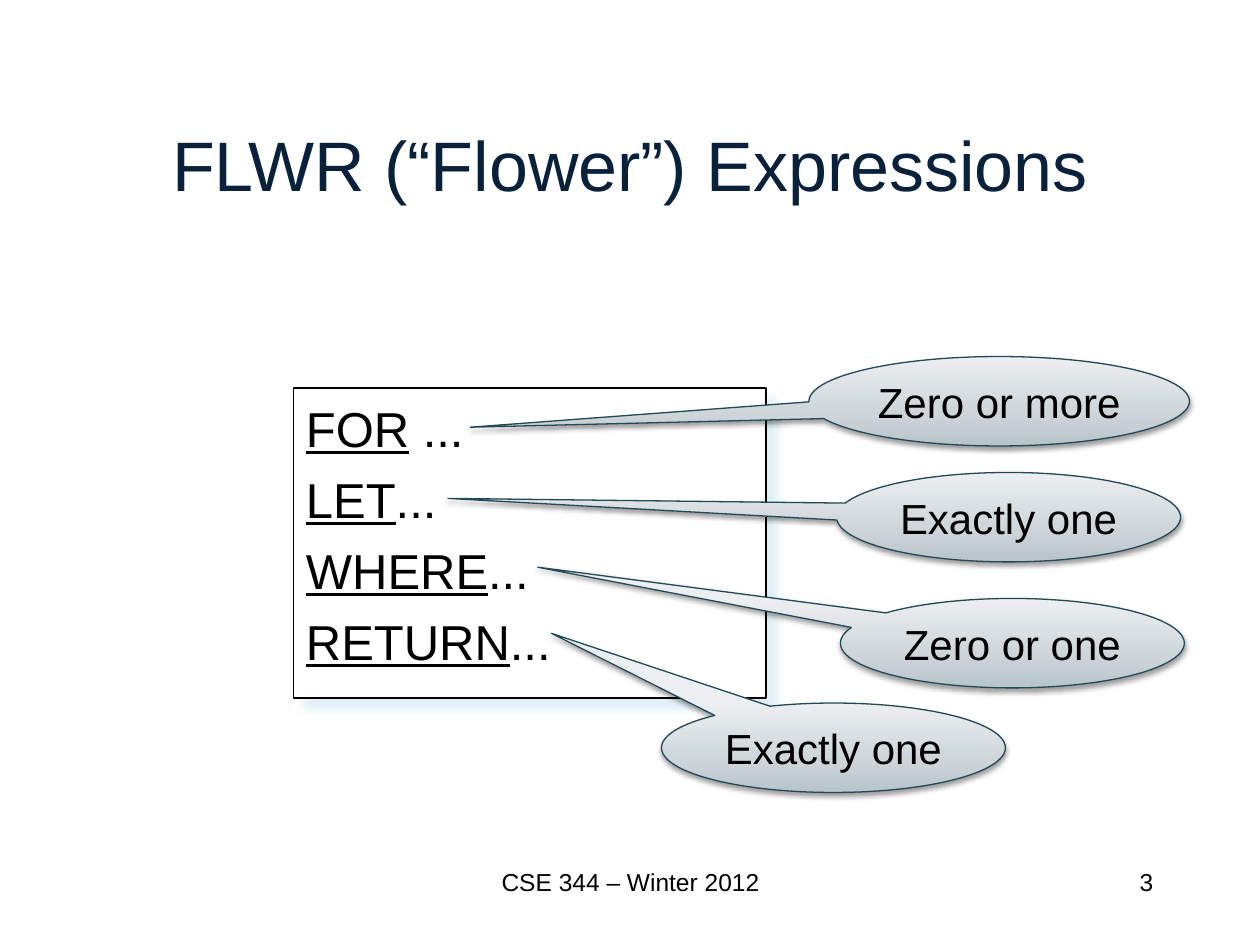
from copy import deepcopy

from lxml.etree import SubElement
from pptx import Presentation
from pptx.dml.color import RGBColor
from pptx.enum.shapes import MSO_SHAPE as SHAPE
from pptx.enum.text import MSO_ANCHOR as ANCHOR, PP_ALIGN as ALIGN
from pptx.oxml.ns import qn
from pptx.util import Inches, Pt

TITLE = "FLWR (“Flower”) Expressions"
FOOTER = "CSE 344 – Winter 2012"
PAGE_NUMBER = "3"
CLAUSES = [("FOR", " ..."), ("LET", "..."), ("WHERE", "..."), ("RETURN", "...")]
# text, left, top, width, pointer tip relative to the centre
CALLOUTS = [
    ("Zero or more", 6.42, 2.83, 3.02, (-1.39, 0.29)),
    ("Exactly one", 6.64, 3.75, 2.73, (-1.63, -0.21)),
    ("Zero or one", 6.67, 4.75, 2.73, (-1.38, -0.85)),
    ("Exactly one", 5.25, 5.58, 2.73, (-0.82, -1.28)),
]
CALLOUT_HEIGHT = 0.71
CALLOUT_STOPS = [(0, "B8C3CA"), (0.35, "CDD5D9"), (1, "ECEFF1")]
FONT = "Arial"
BLACK = "000000"


def rgb(value):
    return RGBColor.from_string(value)


def write(shape, paragraphs, size, color=BLACK, align=ALIGN.LEFT,
          anchor=ANCHOR.TOP, wrap=True, gap=0, hanging=0, inset=0.05):
    """Fill a shape with paragraphs, each a list of (text, underline) spans."""
    frame = shape.text_frame
    frame.word_wrap = wrap
    frame.vertical_anchor = anchor
    frame.margin_top = Inches(inset)
    for index, spans in enumerate(paragraphs):
        para = frame.add_paragraph() if index else frame.paragraphs[0]
        para.alignment = align
        if index:
            para.space_before = Pt(gap)
        if hanging:
            properties = para._p.get_or_add_pPr()
            properties.set("marL", str(Inches(hanging)))
            properties.set("indent", str(-Inches(hanging)))
        for text, underline in spans:
            span = para.add_run()
            span.text = text
            span.font.name = FONT
            span.font.size = Pt(size)
            span.font.underline = underline
            span.font.color.rgb = rgb(color)


def add_label(page, text, left, top, width, height, **style):
    box = page.shapes.add_textbox(*map(Inches, (left, top, width, height)))
    write(box, [[(text, False)]], **style)


def add_outlined(page, kind, left, top, width, height, line):
    shape = page.shapes.add_shape(kind, *map(Inches, (left, top, width, height)))
    shape.line.color.rgb = rgb(line)
    shape.line.width = Pt(0.75)
    return shape


def cast_shadow(shape, color, opacity, blur, distance, angle):
    shape.shadow.inherit = False
    effects = shape._element.spPr.find(qn("a:effectLst"))
    shadow = SubElement(effects, qn("a:outerShdw"), blurRad=str(Pt(blur)),
                        dist=str(Pt(distance)), dir=str(angle * 60000),
                        algn="ctr", rotWithShape="0")
    tint = SubElement(shadow, qn("a:srgbClr"), val=color)
    SubElement(tint, qn("a:alpha"), val=str(opacity * 1000))


def fill_gradient(shape, stops, angle):
    shape.fill.gradient()
    shape.fill.gradient_angle = angle
    stop_list = shape._element.spPr.find(".//" + qn("a:gsLst"))
    stop_list.append(deepcopy(stop_list[-1]))
    for stop, (position, color) in zip(shape.fill.gradient_stops, stops):
        stop.position = position
        stop.color.rgb = rgb(color)


def main():
    deck = Presentation()
    deck.slide_width, deck.slide_height = Inches(10), Inches(7.5)
    page = deck.slides.add_slide(deck.slide_layouts[6])

    add_label(page, PAGE_NUMBER, 7.17, 6.83, 2.08, 0.5, size=14, align=ALIGN.RIGHT)
    add_label(page, TITLE, 0.75, 0.67, 8.5, 1.25, size=40, color="09213B",
              align=ALIGN.CENTER, anchor=ANCHOR.MIDDLE)

    query = add_outlined(page, SHAPE.RECTANGLE, 2.33, 3.08, 3.75, 2.46, BLACK)
    query.fill.solid()
    query.fill.fore_color.rgb = rgb("FFFFFF")
    cast_shadow(query, "D5EDF4", opacity=75, blur=5, distance=8.5, angle=45)
    write(query, [[(keyword, True), (rest, False)] for keyword, rest in CLAUSES],
          size=28, gap=7, hanging=0.38, inset=0.08)

    add_label(page, FOOTER, 3.42, 6.83, 3.17, 0.5, size=14, align=ALIGN.CENTER)

    for text, left, top, width, tip in CALLOUTS:
        callout = add_outlined(page, SHAPE.OVAL_CALLOUT, left, top, width,
                               CALLOUT_HEIGHT, "224957")
        for index, offset in enumerate(tip):
            callout.adjustments[index] = offset
        fill_gradient(callout, CALLOUT_STOPS, angle=90)
        cast_shadow(callout, BLACK, opacity=38, blur=3.1, distance=1.6, angle=90)
        write(callout, [[(text, False)]], size=24, align=ALIGN.CENTER,
              anchor=ANCHOR.MIDDLE, wrap=False)

    deck.save("out.pptx")


if __name__ == "__main__":
    main()
